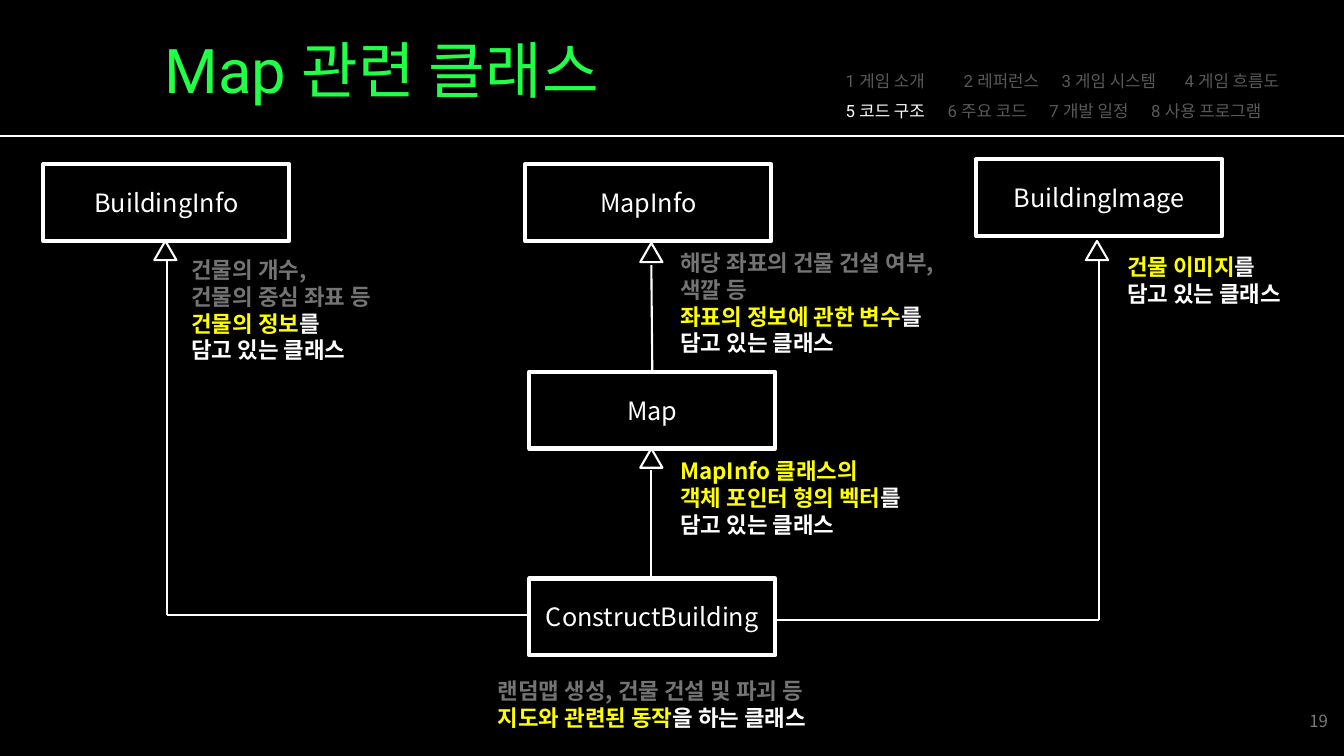
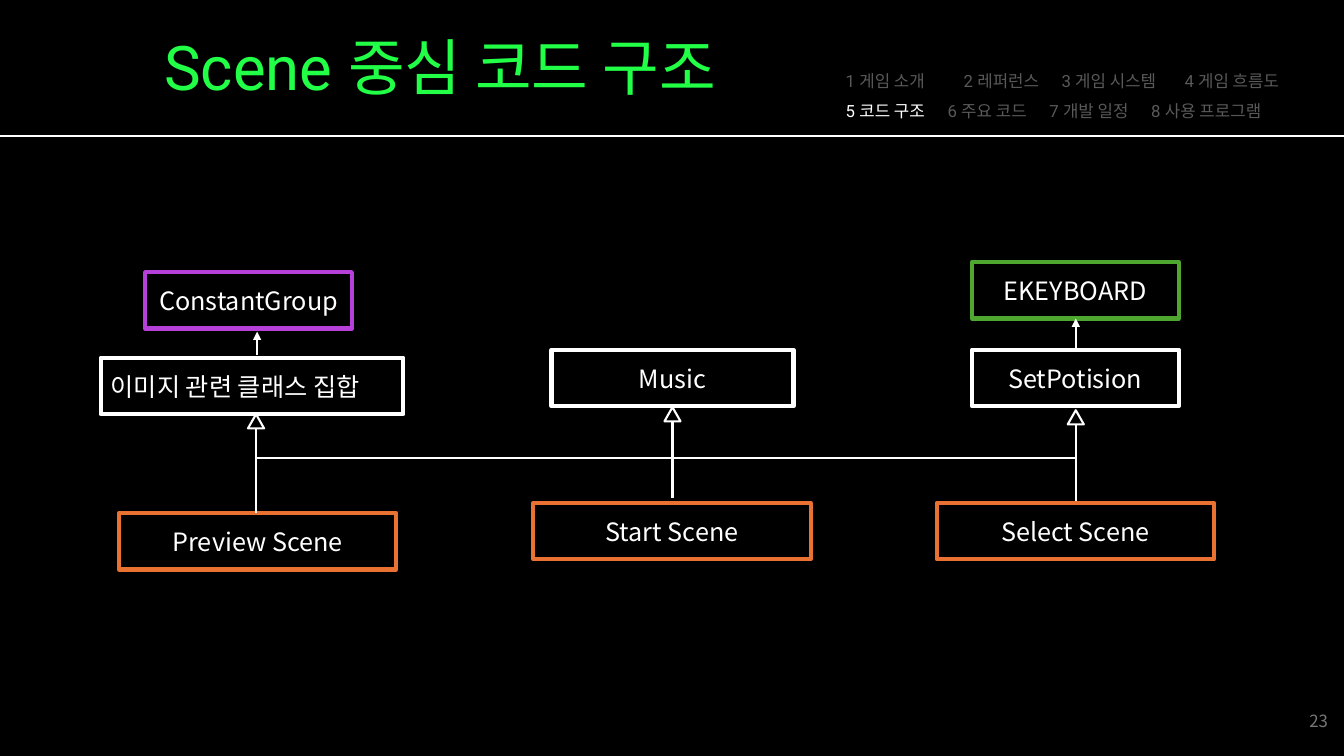
import dataclasses

import pptx
import pptx.dml.color
import pptx.enum.shapes
import pptx.enum.text
import pptx.oxml
import pptx.oxml.ns
import pptx.util
from lxml import etree

Inches = pptx.util.Inches
Shape = pptx.enum.shapes.MSO_SHAPE
Align = pptx.enum.text.PP_ALIGN
Anchor = pptx.enum.text.MSO_ANCHOR
qn = pptx.oxml.ns.qn


@dataclasses.dataclass(frozen=True)
class Theme:
    black: str = "000000"
    white: str = "FFFFFF"
    lime: str = "21FF46"
    gold: str = "FFFF00"
    gray: str = "747474"
    dim: str = "595959"
    pale: str = "797979"
    green: str = "4EA72E"
    plum: str = "B640D9"
    rust: str = "E97132"
    head: int = 44
    label: int = 18
    note: int = 16
    small: int = 12
    thin: float = 1.5
    thick: int = 3
    sans: str = "Roboto"
    hangul: str = "Noto Sans CJK KR"


T = Theme()
MENU = [
    ([1.17, 2.14, 3.36], ["1 게임 소개", "2 레퍼런스", "3 게임 시스템", "4 게임 흐름도"]),
    ([1.01, 2.02, 3.03], ["5 코드 구조", "6 주요 코드", "7 개발 일정", "8 사용 프로그램"]),
]
ACTIVE = "5 코드 구조"


def rgb(tint):
    return pptx.dml.color.RGBColor.from_string(tint)


class Deck:
    """Holds the theme and the current slide, and draws each kind of element."""

    def __init__(self):
        self.prs = pptx.Presentation()
        self.prs.slide_width = Inches(13.33)
        self.prs.slide_height = Inches(7.5)
        fill = self.prs.slide_master.background.fill
        fill.solid()
        fill.fore_color.rgb = rgb(T.black)

    def run(self, para, text, tint, size, face=T.hangul, bold=False):
        run = para.add_run()
        run.text = text
        style = {"name": face, "size": pptx.util.Pt(size), "bold": bold}
        for key, val in style.items():
            setattr(run.font, key, val)
        run.font.color.rgb = rgb(tint)
        etree.SubElement(run._r.get_or_add_rPr(), qn("a:ea"), typeface=T.hangul)

    def frame(self, shape, **style):
        frame = shape.text_frame
        for key, val in {"word_wrap": True, **style}.items():
            setattr(frame, key, val)
        return frame

    def area(self, x, y, w, h, **style):
        box = self.slide.shapes.add_textbox(Inches(x), Inches(y), Inches(w), Inches(h))
        return self.frame(box, **style)

    def rows(self, frame, count):
        return [frame.paragraphs[0]] + [frame.add_paragraph() for _ in range(count - 1)]

    def page(self, title, top, wide, num):
        self.slide = self.prs.slides.add_slide(self.prs.slide_layouts[5])
        head = self.slide.shapes.title
        spot = {"left": 1.53, "top": top, "width": wide, "height": 0.84}
        for key, val in spot.items():
            setattr(head, key, Inches(val))
        none = pptx.enum.text.MSO_AUTO_SIZE.NONE
        para = self.frame(head, vertical_anchor=Anchor.TOP, auto_size=none).paragraphs[0]
        para.alignment = Align.LEFT
        self.run(para, title, T.lime, T.head, T.sans)
        self.wire((0, 1.35), (13.33, 1.35))
        self.menu()
        para = self.area(10.27, 6.95, 3, 0.4, vertical_anchor=Anchor.MIDDLE).paragraphs[0]
        para.alignment = Align.RIGHT
        self.run(para, str(num), T.pale, T.small)

    def menu(self):
        frame = self.area(8.29, 0.55, 5.04, 0.66)
        for para, (stops, items) in zip(self.rows(frame, len(MENU)), MENU):
            tabs = etree.SubElement(para._p.get_or_add_pPr(), qn("a:tabLst"))
            for stop in stops:
                etree.SubElement(tabs, qn("a:tab"), pos=str(Inches(stop)), algn="l")
            para.line_spacing = 1.5
            for i, item in enumerate(items):
                tint = T.white if item == ACTIVE else T.dim
                self.run(para, "\t" * (i > 0) + item, tint, T.small, T.sans)

    def shape(self, kind, x, y, w, h, tint, thick):
        item = self.slide.shapes.add_shape(kind, Inches(x), Inches(y), Inches(w), Inches(h))
        item.shadow.inherit = False
        item.fill.background()
        item.line.color.rgb = rgb(tint)
        item.line.width = pptx.util.Pt(thick)
        return item

    def box(self, text, x, y, w, h, tint=T.white, align=Align.CENTER):
        item = self.shape(Shape.RECTANGLE, x, y, w, h, tint, T.thick)
        para = self.frame(item, word_wrap=True, vertical_anchor=Anchor.MIDDLE).paragraphs[0]
        para.alignment = align
        self.run(para, text, T.white, T.label)

    def tip(self, mid, y, w, h):
        self.shape(Shape.ISOSCELES_TRIANGLE, mid - w / 2, y, w, h, T.white, T.thin)

    def wire(self, *spots, arrow=False):
        for start, end in zip(spots, spots[1:]):
            ends = [Inches(v) for v in start + end]
            kind = pptx.enum.shapes.MSO_CONNECTOR.STRAIGHT
            line = self.slide.shapes.add_connector(kind, *ends)
            line.line.color.rgb = rgb(T.white)
            line.line.width = pptx.util.Pt(T.thin)
            props = line._element.spPr
            if arrow:
                etree.SubElement(props.find(qn("a:ln")), qn("a:tailEnd"), type="triangle")
            etree.SubElement(props, qn("a:effectLst"))

    def note(self, x, y, w, h, *lines):
        for para, line in zip(self.rows(self.area(x, y, w, h), len(lines)), lines):
            for text, tint in line:
                self.run(para, text, tint, T.note, bold=True)


def maps(deck):
    deck.page("Map 관련 클래스", 0.27, 5.48, 19)
    for text, x, y in [
        ("BuildingInfo", 0.43, 1.63),
        ("MapInfo", 5.21, 1.63),
        ("BuildingImage", 9.68, 1.58),
        ("Map", 5.25, 3.69),
        ("ConstructBuilding", 5.25, 5.74),
    ]:
        deck.box(text, x, y, 2.44, 0.76)
    for mid, y in [(1.64, 2.39), (6.46, 2.41), (6.46, 4.45), (10.88, 2.39)]:
        deck.tip(mid, y, 0.22, 0.19)
    deck.wire((1.66, 2.59), (1.66, 6.1), (5.25, 6.1))
    deck.wire((6.46, 2.63), (6.47, 3.69))
    deck.wire((6.46, 4.66), (6.46, 5.74))
    deck.wire((7.69, 6.15), (10.9, 6.15), (10.9, 2.58))
    last = [("담고 있는 클래스", T.white)]
    deck.note(
        1.8, 2.49, 2.33, 1.18,
        [("건물의 개수,", T.gray)],
        [("건물의 중심 좌표 등", T.gray)],
        [("건물의 정보", T.gold), ("를", T.white)],
        last,
    )
    deck.note(
        6.65, 2.42, 3.04, 1.18,
        [("해당 좌표의 건물 건설 여부,", T.gray)],
        [("색깔 등", T.gray)],
        [("좌표의 정보에 관한 변수", T.gold), ("를", T.white)],
        last,
    )
    deck.note(
        6.65, 4.49, 3.04, 0.91,
        [("MapInfo 클래스의", T.gold)],
        [("객체 포인터 형의 벡터", T.gold), ("를", T.white)],
        last,
    )
    deck.note(11.08, 2.46, 2.06, 0.64, [("건물 이미지", T.gold), ("를", T.white)], last)
    deck.note(
        4.84, 6.67, 3.91, 0.64,
        [("랜덤맵 생성, 건물 건설 및 파괴 등", T.gray)],
        [("지도와 관련된 동작", T.gold), ("을 하는 클래스", T.white)],
    )


def scenes(deck):
    deck.page("Scene 중심 코드 구조", 0.24, 6.67, 23)
    for text, x, y, w, tint in [
        ("ConstantGroup", 1.44, 2.7, 2.05, T.plum),
        ("EKEYBOARD", 9.64, 2.6, 2.05, T.green),
        ("Music", 5.47, 3.47, 2.4, T.white),
        ("SetPotision", 9.64, 3.47, 2.05, T.white),
        ("Preview Scene", 1.18, 5.09, 2.75, T.rust),
        ("Start Scene", 5.29, 4.99, 2.75, T.rust),
        ("Select Scene", 9.29, 4.99, 2.75, T.rust),
    ]:
        deck.box(text, x, y, w, 0.56, tint)
    deck.box("이미지 관련 클래스 집합", 1, 3.55, 3, 0.56, align=Align.LEFT)
    for mid, top, low in [(2.54, 4.11, 5.09), (6.67, 4.04, 4.94), (10.67, 4.07, 4.97)]:
        deck.tip(mid, top, 0.16, 0.14)
        deck.wire((mid, top + 0.15), (mid, low))
    deck.wire((2.54, 4.54), (10.67, 4.54))
    deck.wire((2.55, 3.52), (2.55, 3.29), arrow=True)
    deck.wire((10.67, 3.47), (10.67, 3.16), arrow=True)


def main():
    deck = Deck()
    maps(deck)
    scenes(deck)
    deck.prs.save("out.pptx")


if __name__ == "__main__":
    main()
